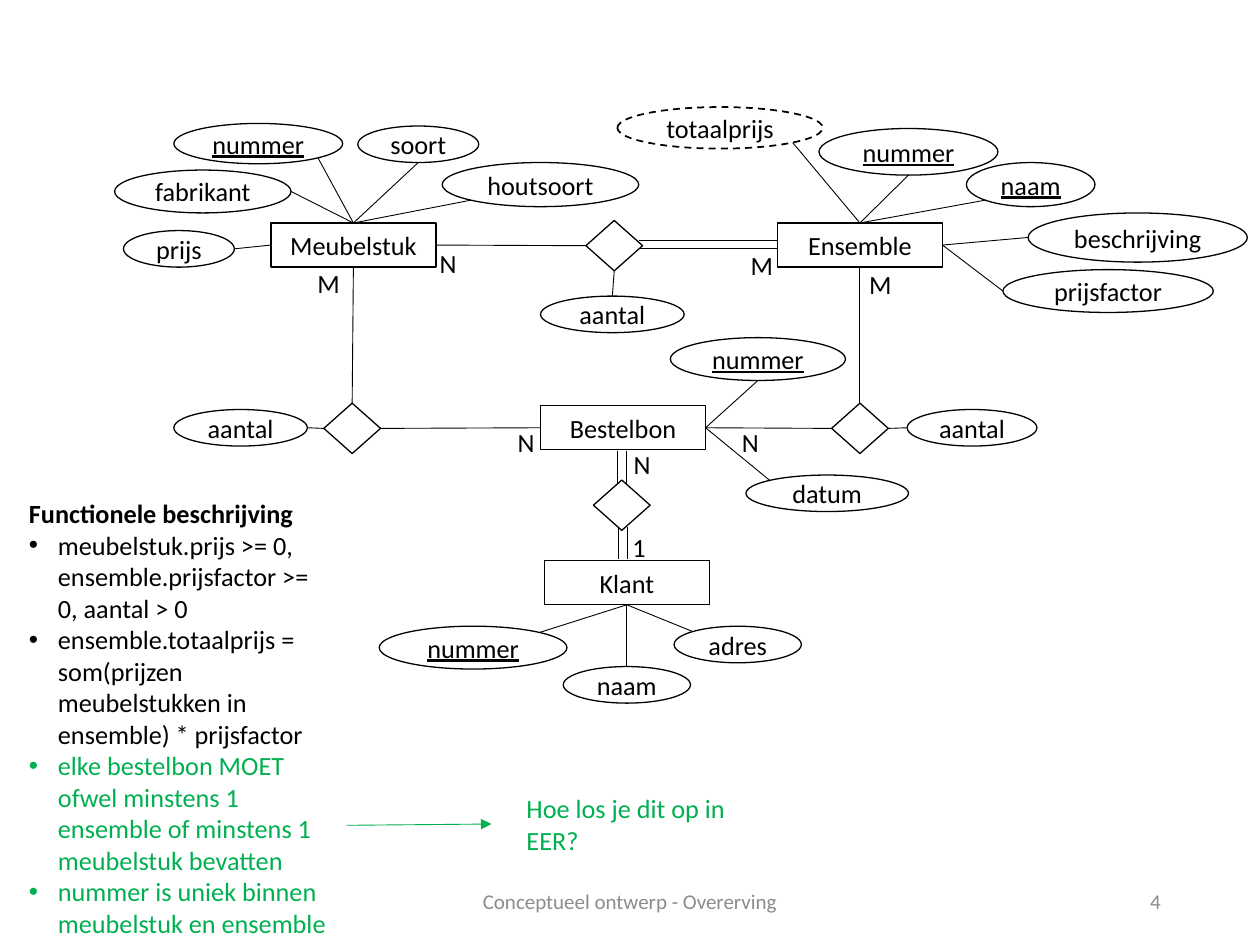
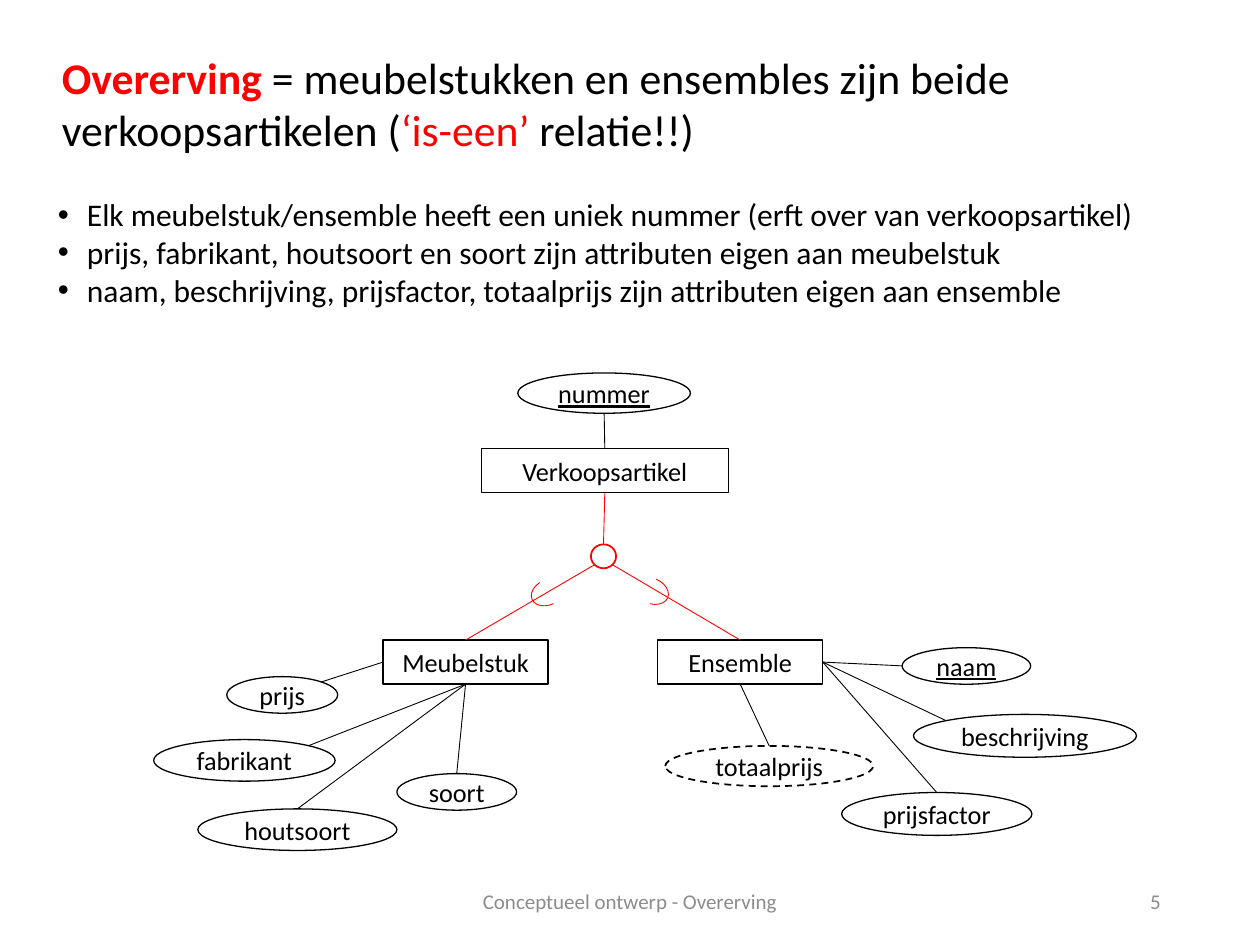
from dataclasses import dataclass
from math import cos, radians, sin

from lxml.etree import SubElement
from pptx import Presentation
from pptx.dml.color import RGBColor
from pptx.enum.dml import MSO_LINE
from pptx.enum.shapes import MSO_CONNECTOR, MSO_SHAPE
from pptx.enum.text import MSO_ANCHOR, MSO_AUTO_SIZE, PP_ALIGN
from pptx.oxml.ns import qn
from pptx.util import Inches, Pt

# The grid has 100 columns and 75 rows on a 10 by 7.5 inch slide
COLS, ROWS = 100, 75
WIDTH, HEIGHT = Inches(10), Inches(7.5)

# Sides of rectangles and diamonds; sites of ellipses, counterclockwise
TOP, LEFT, BOTTOM, RIGHT = range(4)
N, NW, W, SW, S, SE, E, NE = range(8)
KEY, DERIVED = "key", "derived"


@dataclass(frozen=True)
class Theme:
    font: str = "Calibri"
    ink: RGBColor = RGBColor(0, 0, 0)
    paper: RGBColor = RGBColor(255, 255, 255)
    accent: RGBColor = RGBColor(255, 0, 0)
    question: RGBColor = RGBColor(0, 0xB0, 0x50)
    muted: RGBColor = RGBColor(0x8C, 0x8C, 0x8C)
    title: int = 25
    body: int = 18
    label: int = 15
    footer: int = 12
    thin: float = 0.5
    outline: float = 0.75
    strong: float = 1


THEME = Theme()


@dataclass(frozen=True)
class Box:
    left: float
    top: float
    width: float
    height: float

    def inside(self, dx, dy, width, height):
        return Box(self.left + dx, self.top + dy, width, height)

    def point(self, dx, dy):
        return self.left + dx, self.top + dy

    def site(self, index):
        """Point on the ellipse that fills this box."""
        turn = radians(45 * index)
        return self.point(self.width / 2 * (1 - sin(turn)),
                          self.height / 2 * (1 - cos(turn)))

    def emu(self):
        return (*to_emu(self.left, self.top), *to_emu(self.width, self.height))


PAGE = Box(0, 0, COLS, ROWS)


def to_emu(x, y):
    return round(x * WIDTH / COLS), round(y * HEIGHT / ROWS)


# Text
def style(r, size, color=THEME.ink, bold=False, underline=False):
    r.font.name, r.font.size = THEME.font, Pt(size)
    r.font.color.rgb = color
    r.font.bold, r.font.underline = bold, underline


def write(sp, text, size, color=THEME.ink, align=PP_ALIGN.LEFT,
          anchor=MSO_ANCHOR.TOP, wrap=True, underline=False):
    tf = sp.text_frame
    tf.text = text
    tf.word_wrap, tf.vertical_anchor = wrap, anchor
    p = tf.paragraphs[0]
    p.alignment = align
    style(p.runs[0], size, color, underline=underline)


def add_text(s, box, text, size, **look):
    sp = s.shapes.add_textbox(*box.emu())
    write(sp, text, size, **look)
    return sp


def place(sp, box):
    sp.left, sp.top, sp.width, sp.height = box.emu()
    tf = sp.text_frame
    tf.word_wrap, tf.auto_size = True, MSO_AUTO_SIZE.NONE
    tf.vertical_anchor = MSO_ANCHOR.TOP
    return tf


def fill_list(sp, box, size, items, heading=None):
    """Bulleted list of (text, colour) under an optional bold heading."""
    tf = place(sp, box)
    lines = ([(heading, THEME.ink)] if heading else []) + items
    for i, (text, color) in enumerate(lines):
        p = tf.paragraphs[0] if i == 0 else tf.add_paragraph()
        p.text = text
        p.space_before, p.alignment = Pt(0), PP_ALIGN.LEFT
        is_heading = text == heading
        style(p.runs[0], size, color, bold=is_heading)
        indent = 0 if is_heading else Inches(0.23)
        pPr = p._p.get_or_add_pPr()
        pPr.set("marL", str(indent))
        pPr.set("indent", str(-indent))
        if is_heading:
            SubElement(pPr, qn("a:buNone"))
        else:
            SubElement(pPr, qn("a:buFont"), typeface="Arial")
            SubElement(pPr, qn("a:buChar"), char="•")


# Diagram parts
def add_part(s, kind, box, color=THEME.ink, weight=THEME.outline, filled=True):
    sp = s.shapes.add_shape(kind, *box.emu())
    sp.shadow.inherit = False
    if filled:
        sp.fill.solid()
        sp.fill.fore_color.rgb = THEME.paper
    else:
        sp.fill.background()
    sp.line.color.rgb, sp.line.width = color, Pt(weight)
    return sp


def add_link(s, start, end, color=THEME.ink):
    """Straight line between two ends: a grid point or (shape, side)."""
    joined = [hasattr(e[0], "shape_id") for e in (start, end)]
    ends = [(0, 0) if j else to_emu(*e) for j, e in zip(joined, (start, end))]
    line = s.shapes.add_connector(MSO_CONNECTOR.STRAIGHT, *ends[0], *ends[1])
    if joined[0]:
        line.begin_connect(*start)
    if joined[1]:
        line.end_connect(*end)
    line.line.color.rgb, line.line.width = color, Pt(THEME.thin)
    SubElement(line._element.spPr, qn("a:effectLst"))
    return line


def add_arrow(s, start, end, color):
    line = add_link(s, start, end, color)
    SubElement(line.line._get_or_add_ln(), qn("a:tailEnd"), type="triangle")


def add_double(s, start, end, gap):
    """Two parallel lines, the second shifted by gap."""
    for k in (0, 1):
        shift = [k * g for g in gap]
        add_link(s, *[(x + shift[0], y + shift[1]) for x, y in (start, end)])


def add_attributes(s, owner, box, attributes):
    for name, dx, dy, width, height, site, side, *kind in attributes:
        oval = box.inside(dx, dy, width, height)
        sp = add_part(s, MSO_SHAPE.OVAL, oval)
        tf = sp.text_frame
        tf.margin_left = tf.margin_right = tf.margin_top = tf.margin_bottom = 0
        write(sp, name, THEME.label, align=PP_ALIGN.CENTER,
              anchor=MSO_ANCHOR.MIDDLE, underline=KEY in kind)
        if DERIVED in kind:
            sp.line.dash_style, sp.line.width = MSO_LINE.DASH, Pt(THEME.strong)
        add_link(s, oval.site(site), (owner, side))


def add_entity(s, box, name, attributes):
    sp = add_part(s, MSO_SHAPE.RECTANGLE, box, filled=False)
    write(sp, name, THEME.label, align=PP_ALIGN.CENTER, anchor=MSO_ANCHOR.MIDDLE)
    add_attributes(s, sp, box, attributes)
    return sp


def add_relation(s, box, attributes=()):
    sp = add_part(s, MSO_SHAPE.DIAMOND, box)
    add_attributes(s, sp, box, attributes)
    return sp


# Regions
def order_diagram(s, box):
    def entity(x, y, name, attributes):
        return add_entity(s, box.inside(x, y, 13.1, 3.5), name, attributes)

    def relation(x, y, *attributes):
        return add_relation(s, box.inside(x, y, 4.5, 4), attributes)

    furniture = entity(21.5, 17.7, "Meubelstuk", [
        ("nummer", -7.7, -7.9, 13.4, 3.2, SE, TOP, KEY),
        ("soort", 6.9, -7.7, 9.6, 2.9, S, TOP),
        ("houtsoort", 13.6, -4.8, 15.6, 3.5, SW, TOP),
        ("fabrikant", -12.4, -4.2, 14, 3.4, E, TOP),
        ("prijs", -11.7, 0.6, 8.8, 2.9, E, LEFT)])
    ensemble = entity(61.7, 17.7, "Ensemble", [
        ("nummer", 3.3, -7.5, 14.2, 3.7, S, TOP, KEY),
        ("naam", 15, -4.8, 10.2, 3.5, SW, TOP, KEY),
        ("beschrijving", 19.9, -0.8, 17.4, 3.9, W, RIGHT),
        ("prijsfactor", 17.9, 3.7, 16.7, 3.4, W, RIGHT),
        ("totaalprijs", -12.7, -9.2, 16.3, 3.3, SE, TOP, DERIVED)])
    entity(43.2, 44.5, "Klant", [
        ("nummer", -13.1, 5.2, 14.9, 3.4, NE, BOTTOM, KEY),
        ("naam", 1.5, 8.4, 10.1, 2.9, N, BOTTOM),
        ("adres", 10.3, 5.2, 10.1, 2.9, NW, BOTTOM)])
    order = entity(42.9, 32.2, "Bestelbon", [
        ("nummer", 10.3, -5.4, 13.9, 3.4, S, RIGHT, KEY),
        ("datum", 16.3, 5.5, 12.9, 2.9, NW, RIGHT)])

    # Relations, with double lines for total participation
    contains = relation(46.5, 17.5, ("aantal", -3.6, 6, 11.4, 2.9, N, BOTTOM))
    left = relation(25.7, 32, ("aantal", -11.9, 0.5, 10.6, 2.9, E, LEFT))
    right = relation(66, 32, ("aantal", 6, 0.5, 10.3, 2.9, W, RIGHT))
    relation(47.1, 38.1)
    for start, end in [((furniture, RIGHT), (contains, LEFT)),
                       ((left, TOP), (furniture, BOTTOM)),
                       ((order, LEFT), (left, RIGHT)),
                       ((order, RIGHT), (right, LEFT)),
                       ((right, TOP), (ensemble, BOTTOM))]:
        add_link(s, start, end)
    for x1, y1, x2, y2, gap in [(50.7, 19.1, 61.7, 19.1, (0, 0.6)),
                                (49, 35.8, 49, 38.4, (0.7, 0)),
                                (49.1, 44.4, 49.1, 41.8, (0.7, 0))]:
        add_double(s, box.point(x1, y1), box.point(x2, y2), gap)

    # Cardinalities
    for text, x, y in [("N", 33.9, 19.1), ("M", 58.6, 19.3), ("M", 24.2, 20.7),
                       ("M", 68, 20.8), ("N", 40.1, 33.3), ("N", 57.9, 33.3),
                       ("N", 49.3, 35.1), ("1", 49.2, 41.7)]:
        add_text(s, box.inside(x, y, 3.6, 3.5), text, THEME.label, wrap=False)


def open_question(s, box):
    add_arrow(s, box.point(0, 3.1), box.point(11.5, 3), THEME.question)
    sp = add_text(s, box.inside(13.3, 0, 19.9, 6.1), "Hoe los je dit op in EER?",
                  THEME.label, color=THEME.question)
    sp.fill.solid()
    sp.fill.fore_color.rgb = THEME.paper


def inheritance_diagram(s, box):
    parent = add_entity(s, box.inside(26, 6, 19.6, 3.5), "Verkoopsartikel", [
        ("nummer", 2.9, -6, 13.7, 3.2, S, TOP, KEY)])
    furniture = add_entity(s, box.inside(18.2, 21.2, 13.1, 3.5), "Meubelstuk", [
        ("prijs", -12.4, 2.9, 8.8, 2.9, NE, LEFT),
        ("fabrikant", -18.2, 7.9, 14.4, 3.3, NE, BOTTOM),
        ("houtsoort", -14.7, 13.4, 15.8, 3.3, N, BOTTOM),
        ("soort", 1.1, 10.6, 9.5, 2.9, N, BOTTOM)])
    ensemble = add_entity(s, box.inside(40, 21.2, 13.1, 3.5), "Ensemble", [
        ("totaalprijs", 0.6, 8.4, 16.5, 3.2, N, BOTTOM, DERIVED),
        ("naam", 19.4, 0.6, 10.2, 2.9, W, RIGHT, KEY),
        ("beschrijving", 20.3, 5.9, 17.7, 3.4, NW, RIGHT),
        ("prijsfactor", 14.6, 12.1, 15.1, 3.4, N, RIGHT)])

    # Specialisation circle, its branches and subset arcs
    circle = box.inside(34.7, 13.6, 2, 1.9)
    add_part(s, MSO_SHAPE.OVAL, circle, THEME.accent, THEME.strong)
    for site, end in [(N, (parent, BOTTOM)), (SW, (furniture, TOP)),
                      (SE, (ensemble, TOP))]:
        add_link(s, circle.site(site), end, THEME.accent)
    for x, y, turn in [(29.9, 16.4, 155), (38.1, 16.3, 23)]:
        arc = add_part(s, MSO_SHAPE.ARC, box.inside(x, y, 2.8, 2), THEME.accent,
                       THEME.thin, filled=False)
        arc.adjustments[0], arc.adjustments[1] = 162, 44.44
        arc.rotation = turn


def fill_title(sp, box, pieces):
    p = place(sp, box).paragraphs[0]
    p.alignment = PP_ALIGN.LEFT
    for text, color, bold in pieces:
        r = p.add_run()
        r.text = text
        style(r, THEME.title, color, bold)


def add_footer(s, box, number):
    for x, width, text, align in [
            (33.1, 33.8, "Conceptueel ontwerp - Overerving", PP_ALIGN.CENTER),
            (70.6, 22.5, str(number), PP_ALIGN.RIGHT)]:
        add_text(s, box.inside(x, 0, width, box.height), text, THEME.footer,
                 color=THEME.muted, align=align, anchor=MSO_ANCHOR.MIDDLE)


# Slides
def new_slide(prs, number):
    s = prs.slides.add_slide(prs.slide_layouts[1])
    add_footer(s, PAGE.inside(0, 69.5, COLS, 4), number)
    return s, s.shapes.title, s.placeholders[1]


def model_slide(prs):
    s, title, body = new_slide(prs, 4)
    title.element.getparent().remove(title.element)
    order_diagram(s, PAGE)
    fill_list(body, PAGE.inside(1.3, 39, 26.1, 36.4), THEME.label, [
        ("meubelstuk.prijs >= 0, ensemble.prijsfactor >= 0, aantal > 0", THEME.ink),
        ("ensemble.totaalprijs = som(prijzen meubelstukken in ensemble) "
         "* prijsfactor", THEME.ink),
        ("elke bestelbon MOET ofwel minstens 1 ensemble of minstens 1 "
         "meubelstuk bevatten", THEME.question),
        ("nummer is uniek binnen meubelstuk en ensemble", THEME.question),
    ], heading="Functionele beschrijving")
    open_question(s, PAGE.inside(27.5, 62.4, 33.2, 6.1))


def inheritance_slide(prs):
    s, title, body = new_slide(prs, 5)
    fill_title(title, PAGE.inside(3.9, 3.5, 90, 9.4), [
        ("Overerving", THEME.accent, True),
        (" = meubelstukken en ensembles zijn beide verkoopsartikelen (",
         THEME.ink, False),
        ("‘is-een’", THEME.accent, False),
        (" relatie!!)", THEME.ink, False)])
    fill_list(body, PAGE.inside(3.6, 15, 93.5, 10.1), THEME.body, [
        (text, THEME.ink) for text in (
            "Elk meubelstuk/ensemble heeft een uniek nummer "
            "(erft over van verkoopsartikel)",
            "prijs, fabrikant, houtsoort en soort zijn attributen "
            "eigen aan meubelstuk",
            "naam, beschrijving, prijsfactor, totaalprijs zijn attributen "
            "eigen aan ensemble")])
    inheritance_diagram(s, PAGE.inside(12.2, 29.6, 78, 38))


def main():
    prs = Presentation()
    prs.slide_width, prs.slide_height = WIDTH, HEIGHT
    model_slide(prs)
    inheritance_slide(prs)
    prs.save("out.pptx")


if __name__ == "__main__":
    main()
